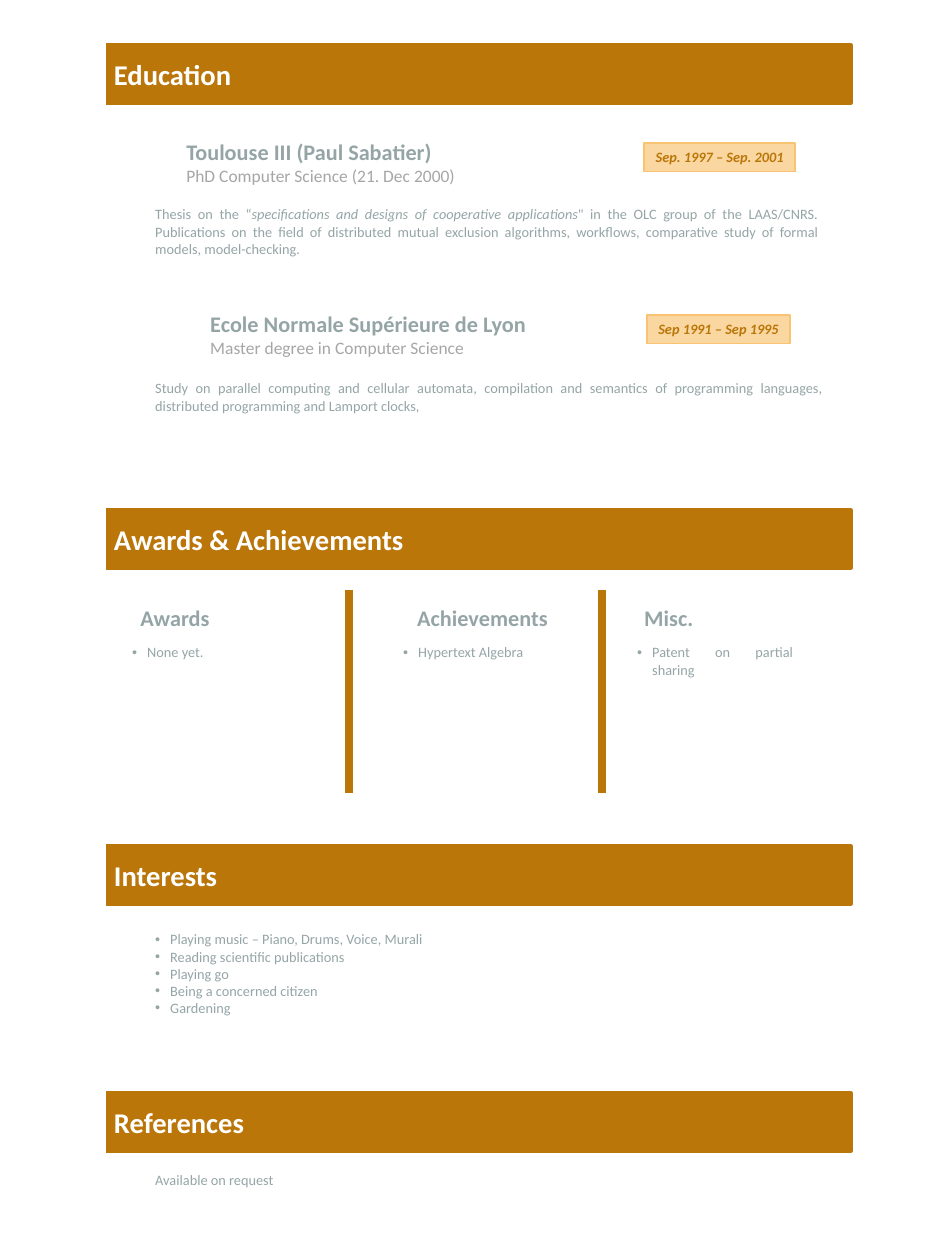
from lxml import etree
from pptx import Presentation
from pptx.dml.color import RGBColor
from pptx.enum.shapes import MSO_CONNECTOR, MSO_SHAPE
from pptx.enum.text import MSO_ANCHOR, MSO_AUTO_SIZE, PP_ALIGN
from pptx.oxml import parse_xml
from pptx.oxml.ns import nsdecls, qn
from pptx.util import Pt

PX = 8000  # EMU; the slide is 945 by 1260 px
OCHRE, SAND, AMBER = "BA7609", "FAD7A0", "F8C471"
GREY, LIGHT_GREY, WHITE = "95A5A6", "A6A6A6", "FFFFFF"
BULLET_INDENT = 15


def color(value):
    return RGBColor.from_string(value)


def add_text(text, left, top, width, height, size=9, ink=GREY, bold=False, italic=False,
             align=PP_ALIGN.LEFT, wrap=True, grow=True, bullet=False,
             fill=None, line=None, line_width=0.75, inset=None, anchor=MSO_ANCHOR.TOP):
    """Add a box; text holds paragraphs, each a list of (words, run format) pairs."""
    box = [length * PX for length in (left, top, width, height)]
    if fill:
        shape = slide.shapes.add_shape(MSO_SHAPE.RECTANGLE, *box)
        shape.shadow.inherit = False
        shape.fill.solid()
        shape.fill.fore_color.rgb = color(fill)
        shape.line.color.rgb = color(line)
        shape.line.width = Pt(line_width)
    else:
        shape = slide.shapes.add_textbox(*box)
    frame = shape.text_frame
    frame.word_wrap = wrap
    frame.auto_size = MSO_AUTO_SIZE.SHAPE_TO_FIT_TEXT if grow else MSO_AUTO_SIZE.NONE
    frame.vertical_anchor = anchor
    if inset:
        frame.margin_left = inset * PX
    for index, runs in enumerate(text):
        paragraph = frame.add_paragraph() if index else frame.paragraphs[0]
        paragraph.alignment = align
        if bullet:
            properties = paragraph._p.get_or_add_pPr()
            properties.set("marL", str(BULLET_INDENT * PX))
            properties.set("indent", str(-BULLET_INDENT * PX))
            for element in (f'<a:buClr {nsdecls("a")}><a:srgbClr val="{GREY}"/></a:buClr>',
                            f'<a:buFont {nsdecls("a")} typeface="Arial"/>',
                            f'<a:buChar {nsdecls("a")} char="•"/>'):
                properties.append(parse_xml(element))
        for words, changes in runs:
            style = {"size": size, "ink": ink, "bold": bold, "italic": italic, **changes}
            run = paragraph.add_run()
            run.text = words
            run.font.name = "Calibri"
            run.font.size = Pt(style["size"])
            run.font.color.rgb = color(style["ink"])
            run.font.bold = style["bold"]
            run.font.italic = style["italic"]


presentation = Presentation()
presentation.slide_width = 945 * PX
presentation.slide_height = 1260 * PX
slide = presentation.slides.add_slide(presentation.slide_layouts[6])

# Education
thesis = [
    ("Thesis on the “", {}),
    ("specifications and designs of cooperative applications", {"italic": True}),
    ('" in the OLC group of the LAAS/CNRS. Publications on the field of distributed mutual '
     "exclusion algorithms, workflows, comparative study of formal models, model-checking.", {}),
]
studies = [("Study on parallel computing and cellular automata, compilation and semantics of "
            "programming languages, distributed programming and Lamport clocks,", {})]
degrees = [
    (133, "Toulouse III (Paul Sabatier)", "PhD Computer Science (21. Dec 2000)", 175, 294,
     "Sep. 1997 – Sep. 2001", 644, 151, thesis, 200, 685, 63),
    (305, "Ecole Normale Supérieure de Lyon", "Master degree in Computer Science", 199, 342,
     "Sep 1991 – Sep 1995", 647, 143, studies, 374, 689, 46),
]
for (top, school, degree, school_left, school_width, dates, dates_left, dates_width,
     summary, summary_top, summary_width, summary_height) in degrees:
    add_text([[(school, {})], [(degree, {"size": 11, "ink": LIGHT_GREY, "bold": False})]],
             school_left, top, school_width, 59, size=14, bold=True, wrap=False)
    add_text([summary], 144, summary_top, summary_width, summary_height,
             align=PP_ALIGN.JUSTIFY)
    add_text([[(dates, {})]], dates_left, top + 10, dates_width, 29, ink=OCHRE, bold=True,
             italic=True, align=PP_ALIGN.RIGHT, wrap=False, fill=SAND, line=AMBER)

# Interests
interests = ["Playing music – Piano, Drums, Voice, Murali", "Reading scientific publications",
             "Playing go", "Being a concerned citizen", "Gardening"]
add_text([[(interest, {})] for interest in interests], 144, 925, 696, 142,
         align=PP_ALIGN.JUSTIFY, grow=False, bullet=True)

# Section bars, each with a white block over its left end
for title, top in [("Education", 45), ("Awards & Achievements", 510),
                   ("Interests", 846), ("References", 1093)]:
    add_text([[(title, {})]], 73, top, 778, 58, size=18, ink=WHITE, bold=True, grow=False,
             fill=OCHRE, line=OCHRE, line_width=2, inset=41, anchor=MSO_ANCHOR.MIDDLE)
    add_text([], 73, top - 6, 31, 74, grow=False, fill=WHITE, line=WHITE, line_width=2)

# Awards & Achievements
for heading, heading_left, heading_width, item, item_left, item_height in [
        ("Awards", 129, 93, "None yet.", 121, 29),
        ("Achievements", 406, 155, "Hypertext Algebra", 392, 29),
        ("Misc.", 633, 73, "Patent on partial sharing", 626, 63)]:
    add_text([[(heading, {})]], heading_left, 599, heading_width, 38,
             size=14, bold=True, wrap=False)
    add_text([[(item, {})]], item_left, 638, 178, item_height,
             align=PP_ALIGN.JUSTIFY, bullet=True)

for divider_left in (349, 602):
    divider = slide.shapes.add_connector(MSO_CONNECTOR.STRAIGHT, divider_left * PX, 590 * PX,
                                         divider_left * PX, 793 * PX)
    divider.line.color.rgb = color(OCHRE)
    divider.line.width = Pt(4.5)
    etree.SubElement(divider._element.spPr, qn("a:effectLst"))

# References
add_text([[("Available on request", {})]], 144, 1166, 689, 29, align=PP_ALIGN.JUSTIFY)

presentation.save("out.pptx")
